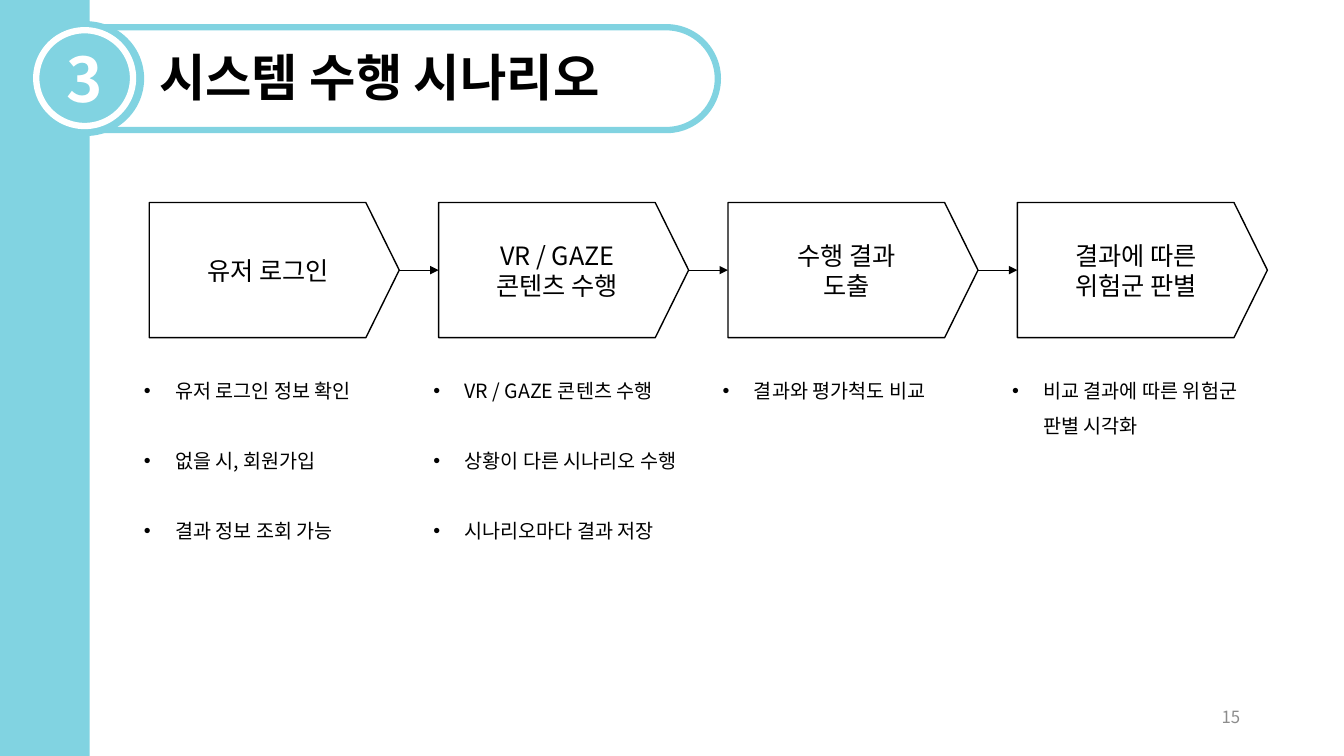
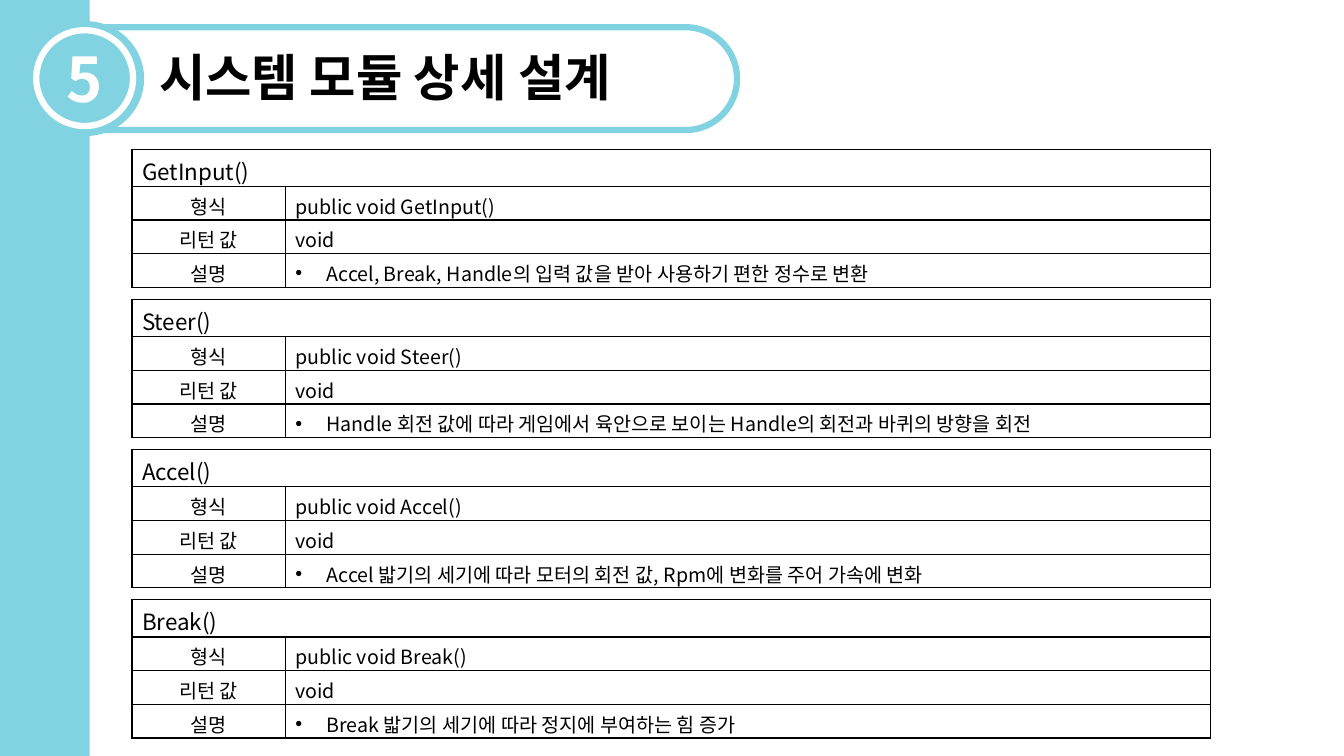
from dataclasses import dataclass
from itertools import pairwise

from lxml import etree
from pptx import Presentation
from pptx import util as u
from pptx.dml import color
from pptx.enum import shapes, text
from pptx.oxml import ns


@dataclass(frozen=True)
class Theme:
    font: str = "Noto Sans CJK KR"
    accent: str = "81D3E1"
    white: str = "FFFFFF"
    ink: str = "000000"
    muted: str = "8C8C8C"
    number_size: int = 44
    title_size: int = 36
    step_size: int = 18
    heading_size: int = 16
    body_size: int = 14
    footer_size: int = 12
    ring_width: float = 4.5


THEME = Theme()
SHAPE = shapes.MSO_SHAPE
ALIGN = text.PP_ALIGN
ANCHOR = text.MSO_ANCHOR

# Scenario flow: label lines, then the notes below the step
STEPS = [
    (["유저 로그인"],
     ["유저 로그인 정보 확인", "없을 시, 회원가입", "결과 정보 조회 가능"]),
    (["VR / GAZE", "콘텐츠 수행"],
     ["VR / GAZE 콘텐츠 수행", "상황이 다른 시나리오 수행", "시나리오마다 결과 저장"]),
    (["수행 결과 도출"], ["결과와 평가척도 비교"]),
    (["결과에 따른", "위험군 판별"], ["비교 결과에 따른 위험군 판별 시각화"]),
]

# Module name and its description
MODULES = [
    ("GetInput", "Accel, Break, Handle의 입력 값을 받아 사용하기 편한 정수로 변환"),
    ("Steer", "Handle 회전 값에 따라 게임에서 육안으로 보이는 Handle의 회전과 바퀴의 방향을 회전"),
    ("Accel", "Accel 밟기의 세기에 따라 모터의 회전 값, Rpm에 변화를 주어 가속에 변화"),
    ("Break", "Break 밟기의 세기에 따라 정지에 부여하는 힘 증가"),
]


# --- Text ---
def rgb(value):
    return color.RGBColor.from_string(value)


def add_child(parent, tag, **attributes):
    return etree.SubElement(parent, ns.qn(tag), attributes)


def write(frame, lines, size, ink=THEME.ink, bold=False, align=ALIGN.LEFT,
          bullet=False, spacing=None, gap=0):
    """Fill a text frame with one paragraph per line."""
    frame.word_wrap = True
    for index, line in enumerate(lines):
        para = frame.paragraphs[0] if index == 0 else frame.add_paragraph()
        para.text = line
        para.alignment = align
        if spacing:
            para.line_spacing = spacing
        if index and gap:
            para.space_before = u.Pt(gap)
        properties = para._p.get_or_add_pPr()
        if bullet:
            indent = u.Inches(0.31)
            properties.set("marL", str(indent))
            properties.set("indent", str(-indent))
            add_child(properties, "a:buFont", typeface="Arial")
            add_child(properties, "a:buChar", char="•")
        font = para.font
        font.size, font.bold, font.name = u.Pt(size), bold, THEME.font
        font.color.rgb = rgb(ink)
        # Korean letters take the East Asian typeface
        add_child(properties.find(ns.qn("a:defRPr")), "a:ea", typeface=THEME.font)


def add_text(page, box, lines, size, anchor=ANCHOR.TOP, **style):
    frame = page.shapes.add_textbox(*map(u.Inches, box)).text_frame
    frame.vertical_anchor = anchor
    write(frame, lines, size, **style)


# --- Shapes ---
def add_shape(page, kind, box, fill=None, line=None, width=1.0):
    shape = page.shapes.add_shape(kind, *map(u.Inches, box))
    shape.shadow.inherit = False
    if fill:
        shape.fill.solid()
        shape.fill.fore_color.rgb = rgb(fill)
    else:
        shape.fill.background()
    if line:
        shape.line.color.rgb = rgb(line)
        shape.line.width = u.Pt(width)
    else:
        shape.line.fill.background()
    return shape


def add_arrow(page, start, end):
    """Join the right side of one shape to the left side of the next."""
    arrow = page.shapes.add_connector(shapes.MSO_CONNECTOR.STRAIGHT, 0, 0, 0, 0)
    arrow.begin_connect(start, 3)
    arrow.end_connect(end, 1)
    arrow.line.color.rgb = rgb(THEME.ink)
    arrow.line.width = u.Pt(0.5)
    add_child(arrow.line._get_or_add_ln(), "a:tailEnd", type="triangle")
    add_child(arrow._element.spPr, "a:effectLst")


def add_step(page, left, lines):
    step = add_shape(page, SHAPE.PENTAGON, (left, 2.01, 2.48, 1.34), line=THEME.ink)
    step.adjustments[0] = 0.247
    frame = step.text_frame
    frame.margin_left, frame.margin_right = u.Inches(0.5), u.Inches(0.46)
    frame.vertical_anchor = ANCHOR.MIDDLE
    write(frame, lines, THEME.step_size, align=ALIGN.CENTER)
    return step


# --- Tables ---
def style_cell(cell):
    properties = cell._tc.get_or_add_tcPr()
    for side in ("a:lnL", "a:lnR", "a:lnT", "a:lnB"):
        border = add_child(properties, side, w=str(u.Pt(1)))
        add_child(add_child(border, "a:solidFill"), "a:srgbClr", val=THEME.ink)
    cell.fill.background()


def add_module_table(page, top, name, description):
    rows = [(f"{name}()", ""),
            ("형식", f"public void {name}()"),
            ("리턴 값", "void"),
            ("설명", description)]
    widths, heights = (1.52, 9.18), (0.37, 0.33, 0.33, 0.33)
    box = (1.31, top, sum(widths), sum(heights))
    table = page.shapes.add_table(len(rows), len(widths), *map(u.Inches, box)).table
    table.first_row = table.horz_banding = False
    for column, width in zip(table.columns, widths):
        column.width = u.Inches(width)
    for row, height in zip(table.rows, heights):
        row.height = u.Inches(height)
    table.cell(0, 0).merge(table.cell(0, 1))

    for y, (label, value) in enumerate(rows):
        heading = y == 0
        size = THEME.heading_size if heading else THEME.body_size
        write(table.cell(y, 0).text_frame, [label], size,
              align=ALIGN.LEFT if heading else ALIGN.CENTER)
        if not heading:
            write(table.cell(y, 1).text_frame, [value], size,
                  bullet=value == description)
    for cell in table.iter_cells():
        style_cell(cell)


# --- Slides ---
def add_page(deck, number, title, pill_width):
    """Start a slide with the side band, numbered badge and title."""
    page = deck.slides.add_slide(deck.slide_layouts[6])
    add_shape(page, SHAPE.RECTANGLE, (0, 0, 0.89, 7.5), fill=THEME.accent)
    pill = add_shape(page, SHAPE.ROUNDED_RECTANGLE, (0.32, 0.27, pill_width, 1.02),
                     line=THEME.accent, width=THEME.ring_width)
    pill.adjustments[0] = 0.5
    add_shape(page, SHAPE.OVAL, (0.27, 0.21, 1.16, 1.14), fill=THEME.accent)
    badge = add_shape(page, SHAPE.OVAL, (0.36, 0.3, 0.96, 0.95), fill=THEME.accent,
                      line=THEME.white, width=THEME.ring_width)
    badge.text_frame.vertical_anchor = ANCHOR.MIDDLE
    write(badge.text_frame, [number], THEME.number_size, ink=THEME.white,
          bold=True, align=ALIGN.CENTER)
    add_text(page, (1.48, 0.41, 5.64, 0.71), [title], THEME.title_size, bold=True)
    return page


def build_scenario(deck):
    page = add_page(deck, "3", "시스템 수행 시나리오", 6.8)
    steps = []
    for index, (label, notes) in enumerate(STEPS):
        left = 1.48 + 2.87 * index
        steps.append(add_step(page, left, label))
        add_text(page, (left - 0.15, 3.59, 2.63, 2.18), notes, THEME.body_size,
                 bullet=True, spacing=1.5, gap=25)
    for start, end in pairwise(steps):
        add_arrow(page, start, end)
    add_text(page, (9.4, 6.91, 3, 0.4), ["15"], THEME.footer_size,
             anchor=ANCHOR.MIDDLE, ink=THEME.muted, align=ALIGN.RIGHT)


def build_modules(deck):
    page = add_page(deck, "5", "시스템 모듈 상세 설계", 6.99)
    for index, (name, description) in enumerate(MODULES):
        add_module_table(page, 1.48 + 1.49 * index, name, description)


def main():
    deck = Presentation()
    deck.slide_width, deck.slide_height = u.Inches(13.33), u.Inches(7.5)
    build_scenario(deck)
    build_modules(deck)
    deck.save("out.pptx")


if __name__ == "__main__":
    main()
